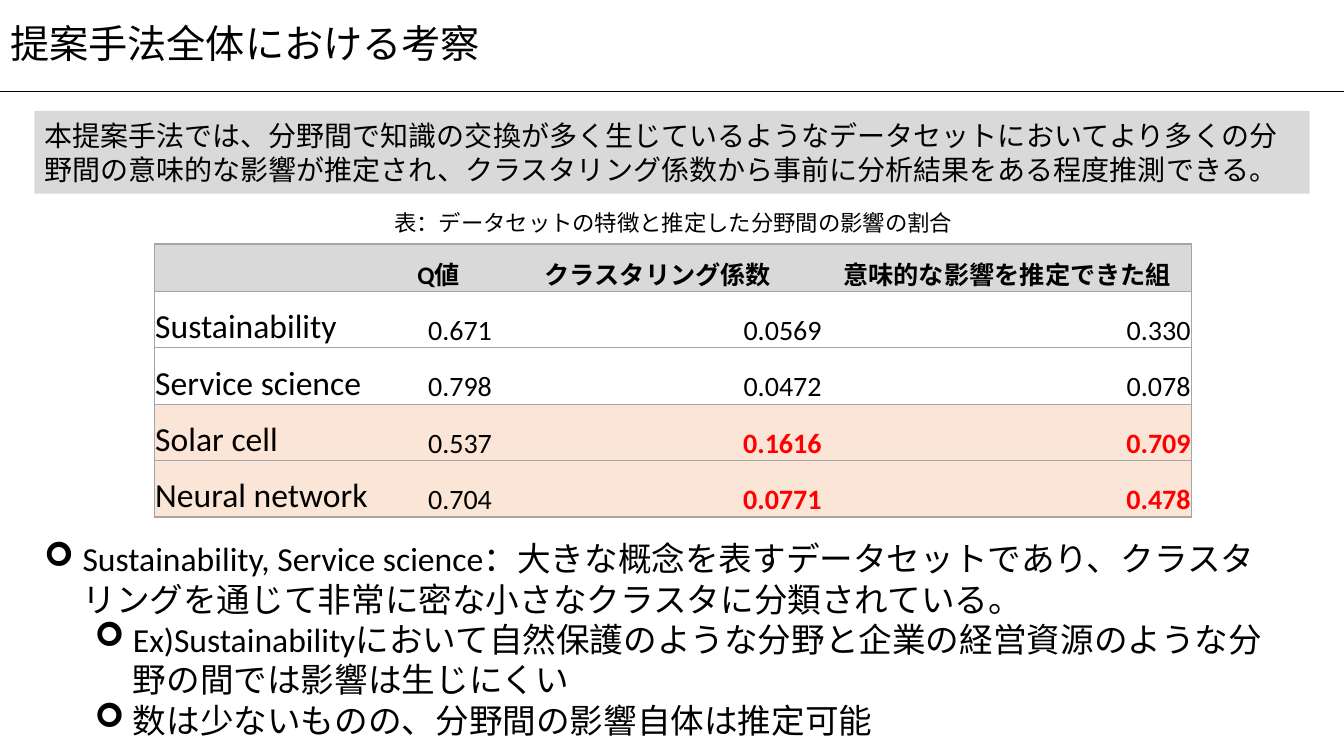
from lxml import etree
from pptx import Presentation
from pptx import util as u
from pptx.dml.color import RGBColor
from pptx.enum import shapes, text
from pptx.oxml.ns import qn

PX = 9144  # 100 px to the inch
BLACK = RGBColor(0, 0, 0)
GREY = RGBColor(0xD9, 0xD9, 0xD9)
EDGE = RGBColor(0xA5, 0xA5, 0xA5)
WHITE = RGBColor(255, 255, 255)
PEACH = RGBColor(0xFB, 0xE5, 0xD6)
RED = RGBColor(255, 0, 0)
LEFT, MID, RIGHT = text.PP_ALIGN.LEFT, text.PP_ALIGN.CENTER, text.PP_ALIGN.RIGHT


def box(*px):
    return [n * PX for n in px]


def write(para, words, size, align=LEFT, color=BLACK, bold=False):
    para.alignment = align
    run = para.add_run()
    run.text = words
    run.font.name = "Calibri"
    run.font.size = u.Pt(size)
    run.font.bold = bold
    run.font.color.rgb = color


prs = Presentation()
prs.slide_width, prs.slide_height = box(1333, 750)
slide = prs.slides.add_slide(prs.slide_layouts[5])

# Title and rule
title = slide.shapes.title
title.left, title.top, title.width, title.height = box(0, 0, 1333, 91)
title.text_frame.vertical_anchor = text.MSO_ANCHOR.MIDDLE
head = title.text_frame.paragraphs[0]
head.line_spacing = 0.9
write(head, "提案手法全体における考察", 28)

rule = slide.shapes.add_connector(shapes.MSO_CONNECTOR.STRAIGHT, *box(0, 91, 1333, 91))
rule.line.color.rgb = BLACK
rule.line.width = u.Pt(1)
etree.SubElement(rule.line._get_or_add_ln().getparent(), qn("a:effectLst"))

# Summary
claim = slide.shapes.add_shape(shapes.MSO_SHAPE.RECTANGLE, *box(34, 110, 1265, 82))
claim.shadow.inherit = False
claim.fill.solid()
claim.fill.fore_color.rgb = GREY
claim.line.fill.background()
claim.text_frame.vertical_anchor = text.MSO_ANCHOR.MIDDLE
write(claim.text_frame.paragraphs[0],
      "本提案手法では、分野間で知識の交換が多く生じているようなデータセットにおいて"
      "より多くの分野間の意味的な影響が推定され、クラスタリング係数から事前に"
      "分析結果をある程度推測できる。", 20)

# Table
ROWS = [
    ("", "Q値", "クラスタリング係数", "意味的な影響を推定できた組"),
    ("Sustainability", "0.671", "0.0569", "0.330"),
    ("Service science", "0.798", "0.0472", "0.078"),
    ("Solar cell", "0.537", "0.1616", "0.709"),
    ("Neural network", "0.704", "0.0771", "0.478"),
]
FILLS = [GREY, WHITE, WHITE, PEACH, PEACH]
table = slide.shapes.add_table(5, 4, *box(153, 242, 1029, 271)).table
table.horz_banding = False
for col, wide in zip(table.columns, (228, 108, 327, 366)):
    col.width = wide * PX
for row, tall in zip(table.rows, (47, 56, 56, 56, 56)):
    row.height = tall * PX

for r, row in enumerate(ROWS):
    for c, words in enumerate(row):
        cell = table.cell(r, c)
        cell.margin_left = cell.margin_right = cell.margin_top = PX
        cell.margin_bottom = 0
        cell.vertical_anchor = text.MSO_ANCHOR.BOTTOM
        props = cell._tc.get_or_add_tcPr()
        for side, shown in (("L", c == 0), ("R", c == 3), ("T", True), ("B", True)):
            edge = etree.SubElement(props, qn("a:ln" + side), w=str(u.Pt(1)))
            if shown:
                fill = etree.SubElement(edge, qn("a:solidFill"))
                etree.SubElement(fill, qn("a:srgbClr"), val=str(EDGE))
            else:
                etree.SubElement(edge, qn("a:noFill"))
        cell.fill.solid()
        cell.fill.fore_color.rgb = FILLS[r]
        para = cell.text_frame.paragraphs[0]
        hot = r > 2 and c > 1
        if r == 0 and words:
            write(para, words, 18, MID, bold=True)
        elif words and c == 0:
            write(para, words, 24)
        elif words:
            write(para, words, 20, RIGHT, RED if hot else BLACK, hot)

# Caption
cap = slide.shapes.add_textbox(*box(370, 203, 596, 37)).text_frame
cap.word_wrap = True
write(cap.paragraphs[0], "表：データセットの特徴と推定した分野間の影響の割合", 16, MID)

# Findings
POINTS = [
    (0, "Sustainability, Service science：大きな概念を表すデータセットであり、"
        "クラスタリングを通じて非常に密な小さなクラスタに分類されている。"),
    (1, "Ex)Sustainabilityにおいて自然保護のような分野と企業の経営資源のような"
        "分野の間では影響は生じにくい"),
    (1, "数は少ないものの、分野間の影響自体は推定可能"),
]
notes = slide.shapes.add_textbox(*box(34, 529, 1245, 212)).text_frame
notes.word_wrap = True
for i, (level, words) in enumerate(POINTS):
    para = notes.add_paragraph() if i else notes.paragraphs[0]
    para.level = level
    write(para, words, 24)
    props = para._p.get_or_add_pPr()
    props.set("marL", str((38 + 50 * level) * PX))
    props.set("indent", str(-38 * PX))
    etree.SubElement(props, qn("a:buFont"), typeface="Wingdings")
    etree.SubElement(props, qn("a:buChar"), char="➢")

prs.save("out.pptx")
